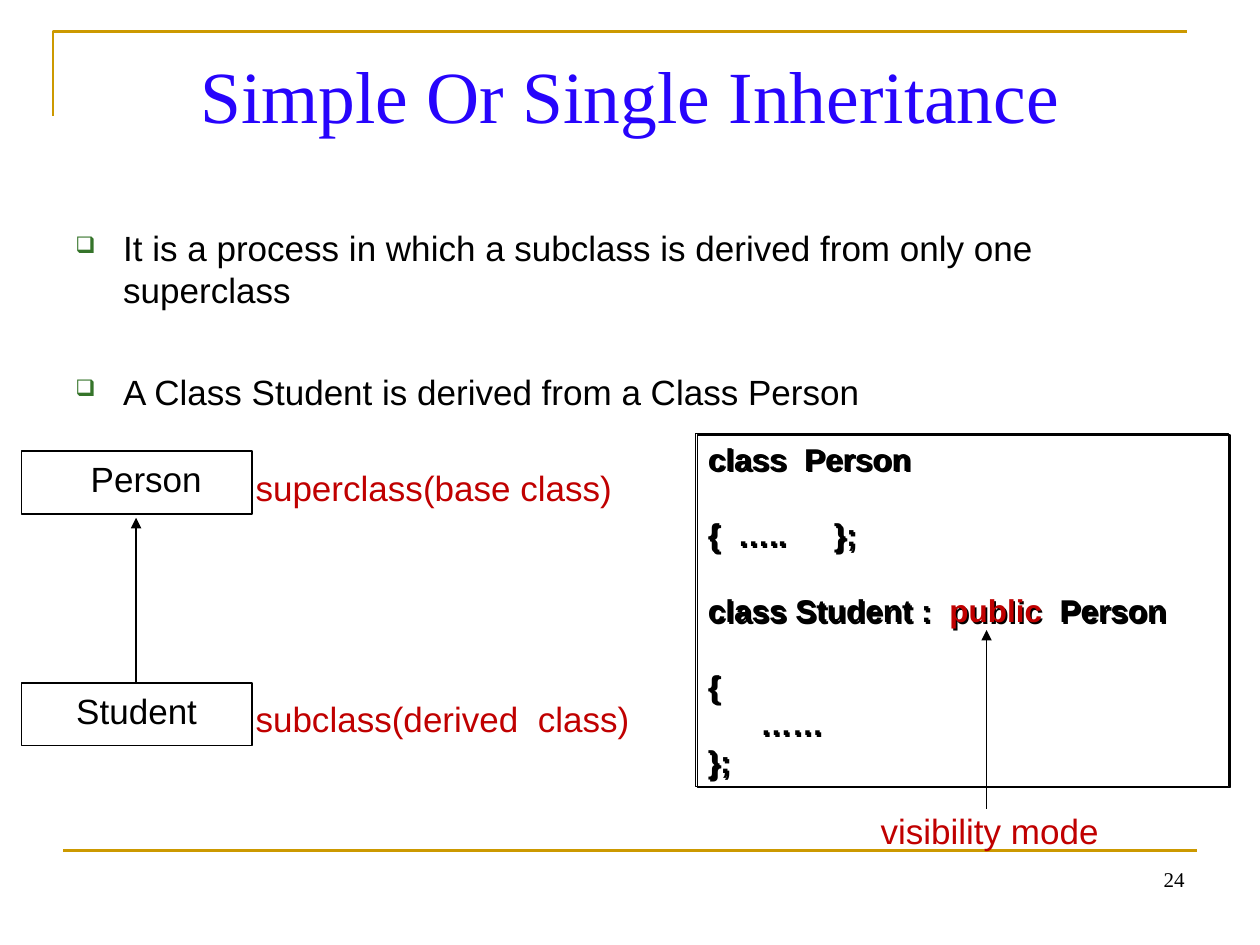
from lxml.etree import SubElement
from pptx import Presentation
from pptx.dml.color import RGBColor
from pptx.enum.shapes import MSO_CONNECTOR, MSO_SHAPE
from pptx.enum.text import MSO_ANCHOR as ANCHOR, PP_ALIGN as ALIGN
from pptx.oxml.ns import qn
from pptx.util import Inches, Pt

COLORS = {"black": "000000", "white": "FFFFFF", "gold": "CC9900",
          "blue": "2704FC", "red": "C00000", "green": "35742A"}
SANS, SERIF = "Arial", "Times New Roman"

# Content
TITLE = "Simple Or Single Inheritance"
BULLETS = ["It is a process in which a subclass is derived from only one superclass",
           "A Class Student is derived from a Class Person"]
# class name, note, top of box, left inset, top of note
CLASSES = [("Person", "superclass(base class)", 3.58, 0.25, 3.65),
           ("Student", "subclass(derived  class)", 5.42, 0.1, 5.48)]
# each line is a list of (text, colour); the flag opens a gap of one line above
CODE = [([("class  Person", "black")], False),
        ([("{  …..\t};", "black")], True),
        ([("class Student :  ", "black"), ("public  ", "red"), ("Person", "black")], True),
        ([("{", "black")], True),
        ([("      ……", "black")], False),
        ([("};", "black")], False)]
CODE_LINE = 21.6
# start and tip of each arrow
ARROWS = [((1.08, 5.42), (1.08, 4.11)), ((7.83, 6.42), (7.83, 5))]


def rgb(name):
    return RGBColor.from_string(COLORS[name])


def add_text(tf, runs, new=False, size=20, font=SANS, color="black", bold=False,
             align=ALIGN.LEFT, before=0, line=None, bullet=None):
    """Write one paragraph; runs is a string or a list of (text, colour)."""
    p = tf.add_paragraph() if new else tf.paragraphs[0]
    p.alignment = align
    if before:
        p.space_before = Pt(before)
    if line:
        p.line_spacing = Pt(line)
    if bullet:
        ppr = p._p.get_or_add_pPr()
        ppr.set("marL", str(Inches(0.38)))
        ppr.set("indent", str(-Inches(0.38)))
        SubElement(SubElement(ppr, qn("a:buClr")), qn("a:srgbClr"), val=COLORS["green"])
        SubElement(ppr, qn("a:buSzPct"), val="65000")
        SubElement(ppr, qn("a:buChar"), char=bullet)
    for text, tone in [(runs, color)] if isinstance(runs, str) else runs:
        r = p.add_run()
        r.text = text
        r.font.size, r.font.name, r.font.bold = Pt(size), font, bold
        r.font.color.rgb = rgb(tone)


def add_box(s, x, y, w, h, anchor=ANCHOR.TOP):
    tf = s.shapes.add_textbox(*map(Inches, (x, y, w, h))).text_frame
    tf.word_wrap, tf.vertical_anchor = True, anchor
    return tf


def add_rect(s, x, y, w, h, fill=None):
    sp = s.shapes.add_shape(MSO_SHAPE.RECTANGLE, *map(Inches, (x, y, w, h)))
    sp.shadow.inherit = False
    if fill:
        sp.fill.solid()
        sp.fill.fore_color.rgb = rgb(fill)
    else:
        sp.fill.background()
    sp.line.color.rgb, sp.line.width = rgb("black"), Pt(0.75)
    return sp


def add_line(s, start, end, color="black", width=0.75, arrow=False):
    c = s.shapes.add_connector(MSO_CONNECTOR.STRAIGHT, *map(Inches, start + end))
    c.line.color.rgb, c.line.width = rgb(color), Pt(width)
    if arrow:
        SubElement(c.line._get_or_add_ln(), qn("a:tailEnd"), type="triangle")
    SubElement(c._element.spPr, qn("a:effectLst"))


def main():
    prs = Presentation()
    prs.slide_width, prs.slide_height = Inches(10), Inches(7.5)
    s = prs.slides.add_slide(prs.slide_layouts[5])

    # Gold frame lines
    builder = s.shapes.build_freeform(Inches(0.42), Inches(0.92))
    builder.add_line_segments([(Inches(0.42), Inches(0.25)),
                               (Inches(9.42), Inches(0.25))], close=False)
    corner = builder.convert_to_shape()
    corner.shadow.inherit = False
    corner.fill.background()
    corner.line.color.rgb, corner.line.width = rgb("gold"), Pt(1.5)
    add_line(s, (0.5, 6.75), (9.5, 6.75), color="gold", width=1.5)

    # Title
    title = s.shapes.title
    title.left, title.top, title.width, title.height = map(Inches, (0.5, 0.3, 9, 1.25))
    tf = title.text_frame
    tf.vertical_anchor, tf.margin_top = ANCHOR.TOP, Inches(0.1)
    add_text(tf, TITLE, size=42, font=SERIF, color="blue", align=ALIGN.CENTER)

    # Bullets
    tf = add_box(s, 0.5, 1.75, 9, 4.95)
    for i, text in enumerate(BULLETS):
        add_text(tf, text, new=i > 0, before=34 * i, line=24, bullet="❑")

    # Slide number
    add_text(add_box(s, 7.17, 6.83, 2.33, 0.52), "24", size=12, font=SERIF,
             align=ALIGN.RIGHT)

    # Class boxes with their notes
    for name, note, top, inset, note_top in CLASSES:
        sp = add_rect(s, 0.17, top, 1.83, 0.5, fill="white")
        tf = sp.text_frame
        tf.vertical_anchor, tf.margin_left = ANCHOR.TOP, Inches(inset)
        add_text(tf, name, align=ALIGN.CENTER)
        add_text(add_box(s, 1.93, note_top, 3.24, 0.44, ANCHOR.MIDDLE), note, color="red")

    # Code box; its hard shadow falls on the text too
    sp = add_rect(s, 5.52, 3.44, 4.23, 2.8)
    effects = sp._element.spPr.find(qn("a:effectLst"))
    shadow = SubElement(effects, qn("a:outerShdw"), blurRad="0", dist=str(Pt(1.4)),
                        dir="2700000", algn="ctr", rotWithShape="0")
    SubElement(shadow, qn("a:srgbClr"), val=COLORS["black"])
    tf = sp.text_frame
    tf.vertical_anchor = ANCHOR.MIDDLE
    for i, (runs, gap) in enumerate(CODE):
        add_text(tf, runs, new=i > 0, size=18, bold=True, line=CODE_LINE,
                 before=CODE_LINE if gap else 0)

    # Visibility note and arrows
    add_text(add_box(s, 6.89, 6.37, 2.01, 0.44, ANCHOR.MIDDLE), "visibility mode", color="red")
    for start, tip in ARROWS:
        add_line(s, start, tip, arrow=True)

    prs.save("out.pptx")


if __name__ == "__main__":
    main()
